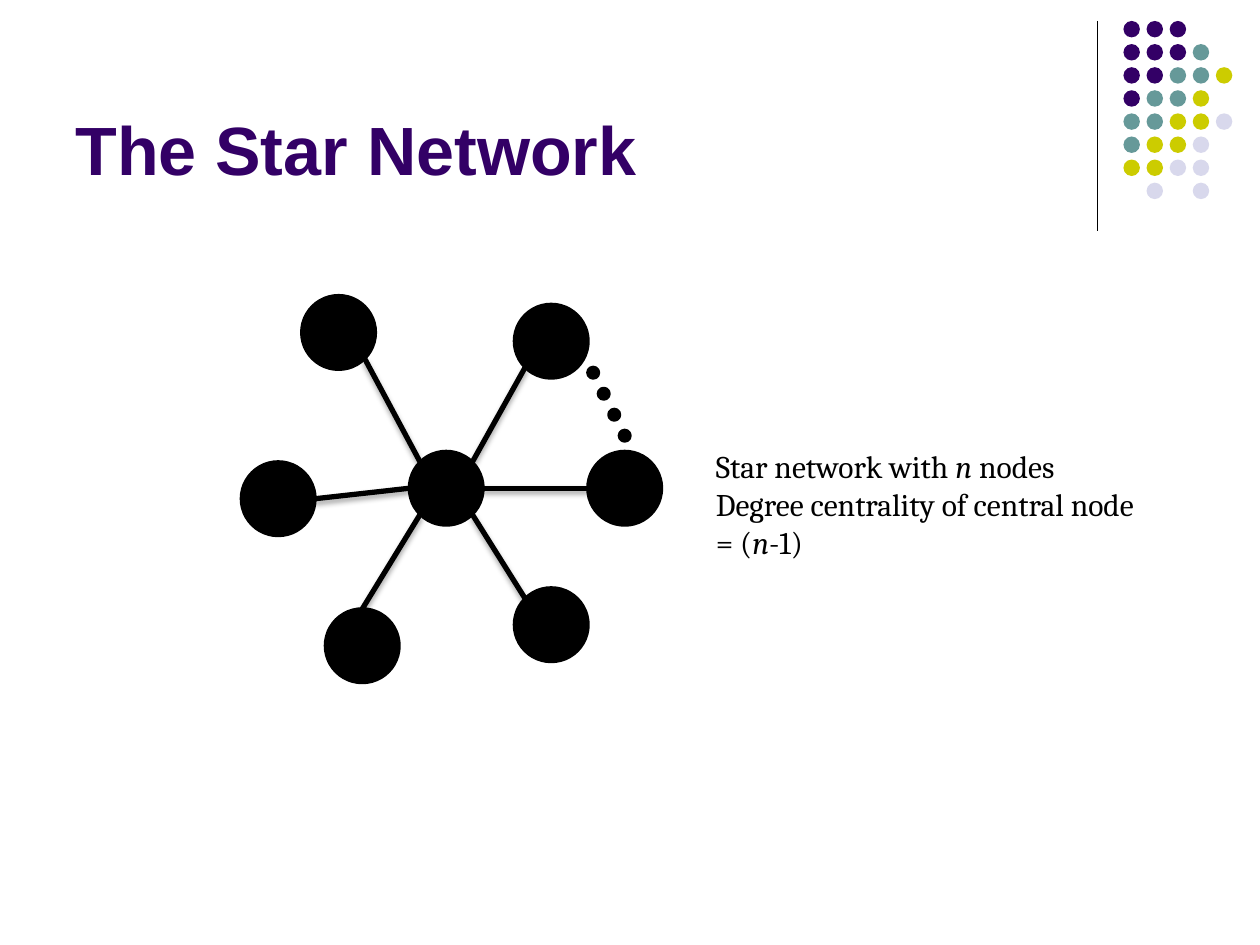
"""Build a slide showing a star network and its degree centrality."""
from math import cos, radians, sin

from lxml import etree
from pptx import Presentation
from pptx.dml.color import RGBColor
from pptx.enum.shapes import MSO_CONNECTOR, MSO_SHAPE
from pptx.enum.text import MSO_ANCHOR, MSO_AUTO_SIZE
from pptx.oxml import parse_xml
from pptx.oxml.ns import nsdecls, qn
from pptx.util import Pt

ELLIPSE = MSO_SHAPE.OVAL
STRAIGHT = MSO_CONNECTOR.STRAIGHT
BOTTOM = MSO_ANCHOR.BOTTOM
NO_AUTO_SIZE = MSO_AUTO_SIZE.NONE

COLORS = {
    "black": "000000",
    "purple": "330066",
    "teal": "669999",
    "olive": "CCCC00",
    "lavender": "D8D8EC",
}
SHADOW = (
    f'<a:effectLst {nsdecls("a")}>'
    '<a:outerShdw blurRad="40000" dist="23000" dir="5400000" rotWithShape="0">'
    '<a:srgbClr val="000000"><a:alpha val="35000"/></a:srgbClr>'
    "</a:outerShdw></a:effectLst>"
)


def add_circle(left, top, size, color, outline=0):
    shape = slide.shapes.add_shape(ELLIPSE, Pt(left), Pt(top), Pt(size), Pt(size))
    shape.shadow.inherit = False
    shape.fill.solid()
    shape.fill.fore_color.rgb = RGBColor.from_string(COLORS[color])
    if outline:
        shape.line.color.rgb = RGBColor.from_string(COLORS[color])
        shape.line.width = Pt(outline)
    else:
        shape.line.fill.background()


def add_line(start_x, start_y, end_x, end_y, width):
    line = slide.shapes.add_connector(
        STRAIGHT, Pt(start_x), Pt(start_y), Pt(end_x), Pt(end_y)
    )
    line.line.color.rgb = RGBColor.from_string(COLORS["black"])
    line.line.width = Pt(width)
    return line.element.spPr


presentation = Presentation()
presentation.slide_width = Pt(720)
presentation.slide_height = Pt(540)
slide = presentation.slides.add_slide(presentation.slide_layouts[6])

divider = add_line(627, 12, 627, 132, 0.75)
etree.SubElement(divider, qn("a:effectLst"))

DOT_COLORS = {"P": "purple", "T": "teal", "O": "olive", "L": "lavender"}
DOT_ROWS = ["PPP", "PPPT", "PPTTO", "PTTO", "TTOOL", "TOOL", "OOLL", " L L"]
DOT_STEP = 13.2
for row, codes in enumerate(DOT_ROWS):
    for column, code in enumerate(codes):
        if code in DOT_COLORS:
            left = 642 + column * DOT_STEP
            add_circle(left, 12 + row * DOT_STEP, 9.4, DOT_COLORS[code])

title = slide.shapes.add_textbox(Pt(36), Pt(9.4), Pt(594), Pt(102))
title.text_frame.word_wrap = True
title.text_frame.auto_size = NO_AUTO_SIZE
title.text_frame.vertical_anchor = BOTTOM
run = title.text_frame.paragraphs[0].add_run()
run.text = "The Star Network"
run.font.name = "Arial"
run.font.size = Pt(39)
run.font.bold = True
run.font.color.rgb = RGBColor.from_string(COLORS["purple"])

NODE_SIZE = 42
RADIUS = NODE_SIZE / 2
HUB_LEFT, HUB_TOP = 234, 258
LEAVES = [
    # left, top, angle at the leaf, angle at the hub
    (138, 264, 0, 180),
    (172.5, 169, 45, 225),
    (186, 348, 270, 135),
    (294, 336, 225, 45),
    (336, 258, 180, 0),
    (294, 174, 135, 315),
]
add_circle(HUB_LEFT, HUB_TOP, NODE_SIZE, "black", 2)
for left, top, leaf_angle, hub_angle in LEAVES:
    add_circle(left, top, NODE_SIZE, "black", 2)
    spoke = add_line(
        left + RADIUS + RADIUS * cos(radians(leaf_angle)),
        top + RADIUS + RADIUS * sin(radians(leaf_angle)),
        HUB_LEFT + RADIUS + RADIUS * cos(radians(hub_angle)),
        HUB_TOP + RADIUS + RADIUS * sin(radians(hub_angle)),
        3,
    )
    spoke.append(parse_xml(SHADOW))

for index in range(4):
    add_circle(336 + index * 6, 210 + index * 12, 6, "black", 2)

NOTE_LINES = [
    [("Star network with ", False), ("n", True), (" nodes", False)],
    [("Degree centrality of central node", False)],
    [("= (", False), ("n", True), ("-1)", False)],
]
note = slide.shapes.add_textbox(Pt(402), Pt(252), Pt(282), Pt(72.7))
note.text_frame.word_wrap = False
for index, pieces in enumerate(NOTE_LINES):
    frame = note.text_frame
    paragraph = frame.add_paragraph() if index else frame.paragraphs[0]
    for text, italic in pieces:
        run = paragraph.add_run()
        run.text = text
        run.font.name = "Cambria"
        run.font.size = Pt(18)
        run.font.italic = italic
        run.font.color.rgb = RGBColor.from_string(COLORS["black"])

presentation.save("out.pptx")
